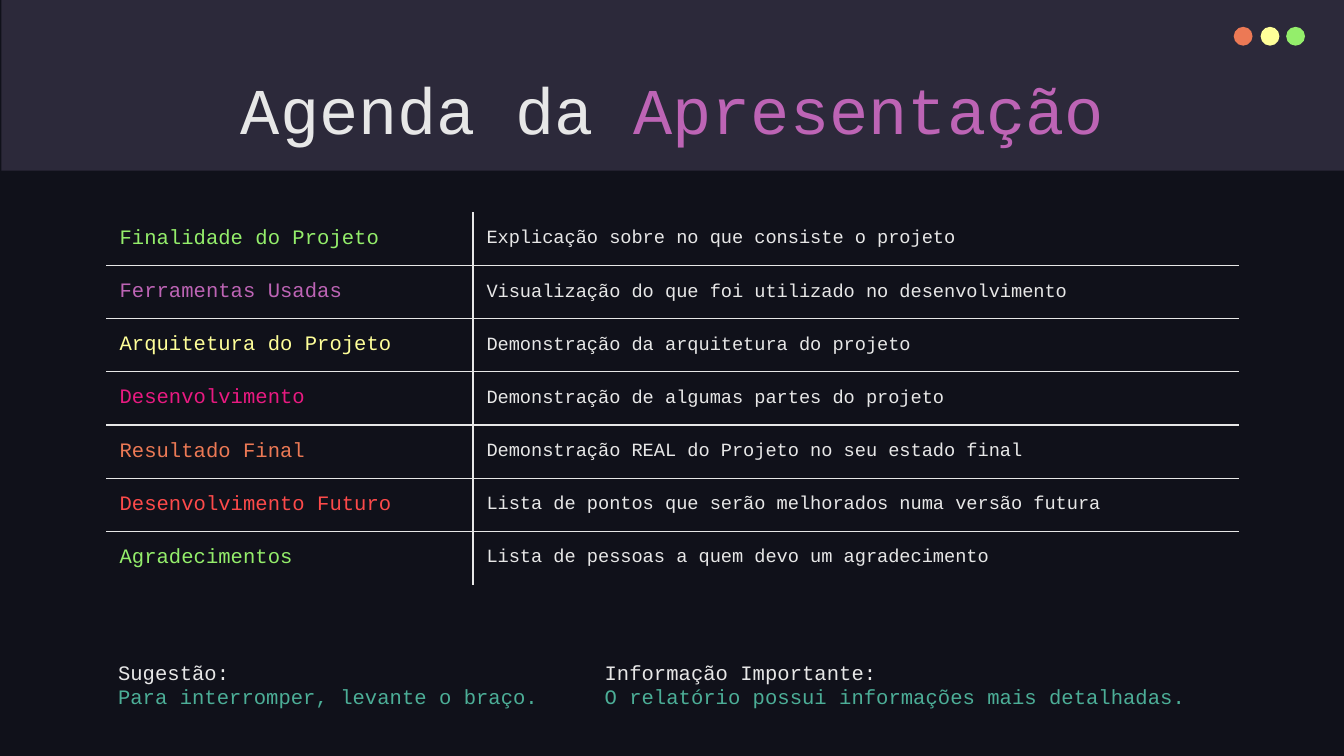
from lxml.etree import SubElement
from pptx import Presentation
from pptx.dml.color import RGBColor
from pptx.enum.shapes import MSO_SHAPE
from pptx.enum.text import MSO_ANCHOR, PP_ALIGN
from pptx.oxml.ns import qn
from pptx.util import Inches, Pt

FONT = "Courier New"
LIGHT, GREEN, PURPLE, YELLOW = "E7E7E7", "94EE6B", "BD64B5", "FFFF99"
PINK, ORANGE, RED, TEAL = "E81A81", "EC7955", "FD4A4A", "4CAE97"
DARK, PANEL = "10111A", "2C293A"

AGENDA = [
    ("Finalidade do Projeto", GREEN, "Explicação sobre no que consiste o projeto"),
    ("Ferramentas Usadas", PURPLE, "Visualização do que foi utilizado no desenvolvimento"),
    ("Arquitetura do Projeto", YELLOW, "Demonstração da arquitetura do projeto"),
    ("Desenvolvimento", PINK, "Demonstração de algumas partes do projeto"),
    ("Resultado Final", ORANGE, "Demonstração REAL do Projeto no seu estado final"),
    ("Desenvolvimento Futuro", RED, "Lista de pontos que serão melhorados numa versão futura"),
    ("Agradecimentos", GREEN, "Lista de pessoas a quem devo um agradecimento"),
]


def color(value):
    return RGBColor.from_string(value)


def add_filled_shape(slide, kind, left, top, width, height, fill):
    shape = slide.shapes.add_shape(
        kind, Inches(left), Inches(top), Inches(width), Inches(height))
    shape.shadow.inherit = False
    shape.fill.solid()
    shape.fill.fore_color.rgb = color(fill)
    shape.line.fill.background()


def add_text_box(slide, left, top, width, height, size):
    shape = slide.shapes.add_textbox(
        Inches(left), Inches(top), Inches(width), Inches(height))
    frame = shape.text_frame
    frame.word_wrap = True
    frame.margin_left = frame.margin_right = Inches(0.1)
    frame.margin_top = frame.margin_bottom = Inches(0.1)
    paragraph = frame.paragraphs[0]
    paragraph.font.name = FONT
    paragraph.font.size = Pt(size)
    return frame


def add_run(paragraph, text, value):
    run = paragraph.add_run()
    run.text = text
    run.font.color.rgb = color(value)


def add_header(slide, left, top, width, height):
    add_filled_shape(slide, MSO_SHAPE.RECTANGLE, left, top, width, height, PANEL)
    for offset, fill in ((9.17, ORANGE), (9.37, YELLOW), (9.56, GREEN)):
        add_filled_shape(slide, MSO_SHAPE.OVAL, left + offset, top + 0.2,
                         0.14, 0.14, fill)
    frame = add_text_box(slide, left + 0.78, top + 0.49, 8.43, 0.63, 35)
    frame.vertical_anchor = MSO_ANCHOR.MIDDLE
    paragraph = frame.paragraphs[0]
    paragraph.alignment = PP_ALIGN.CENTER
    add_run(paragraph, "Agenda da ", LIGHT)
    add_run(paragraph, "Apresentação", PURPLE)


def set_borders(cell, visible):
    properties = cell._tc.get_or_add_tcPr()
    for position, side in enumerate("LRTB"):
        line = properties.makeelement(qn(f"a:ln{side}"), {"w": str(Pt(0.75))})
        properties.insert(position, line)
        if side in visible:
            fill = SubElement(line, qn("a:solidFill"))
            SubElement(fill, qn("a:srgbClr"), val=LIGHT)
        else:
            SubElement(line, qn("a:noFill"))


def fill_cell(cell, text, size, value, borders):
    cell.fill.background()
    cell.vertical_anchor = MSO_ANCHOR.MIDDLE
    cell.margin_left = cell.margin_right = Inches(0.1)
    cell.margin_top = cell.margin_bottom = 0
    cell.text = text
    font = cell.text_frame.paragraphs[0].font
    font.name = FONT
    font.size = Pt(size)
    font.color.rgb = color(value)
    set_borders(cell, borders)


def add_agenda(slide, left, top, width, height):
    table = slide.shapes.add_table(
        len(AGENDA), 2, Inches(left), Inches(top), Inches(width), Inches(height)).table
    table.first_row = table.horz_banding = False
    table.columns[0].width = Inches(2.73)
    table.columns[1].width = Inches(width - 2.73)
    for index, (topic, value, description) in enumerate(AGENDA):
        borders = ("T" if index else "") + ("B" if index < len(AGENDA) - 1 else "")
        fill_cell(table.cell(index, 0), topic, 11, value, borders + "R")
        fill_cell(table.cell(index, 1), description, 10, LIGHT, borders + "L")


def add_note(slide, left, top, width, height, heading, message):
    paragraph = add_text_box(slide, left, top, width, height, 11).paragraphs[0]
    add_run(paragraph, heading, LIGHT)
    paragraph.add_line_break()
    add_run(paragraph, message, TEAL)


def main():
    presentation = Presentation()
    presentation.slide_width = Inches(10)
    presentation.slide_height = presentation.slide_width * 9 // 16
    slide = presentation.slides.add_slide(presentation.slide_layouts[6])
    slide.background.fill.solid()
    slide.background.fill.fore_color.rgb = color(DARK)
    add_header(slide, 0.01, 0, 10, 1.27)
    add_agenda(slide, 0.79, 1.58, 8.43, 2.77)
    add_note(slide, 0.78, 4.81, 3.35, 0.5,
             "Sugestão:", "Para interromper, levante o braço.")
    add_note(slide, 4.4, 4.81, 4.82, 0.5, "Informação Importante:",
             "O relatório possui informações mais detalhadas.")
    presentation.save("out.pptx")


if __name__ == "__main__":
    main()
